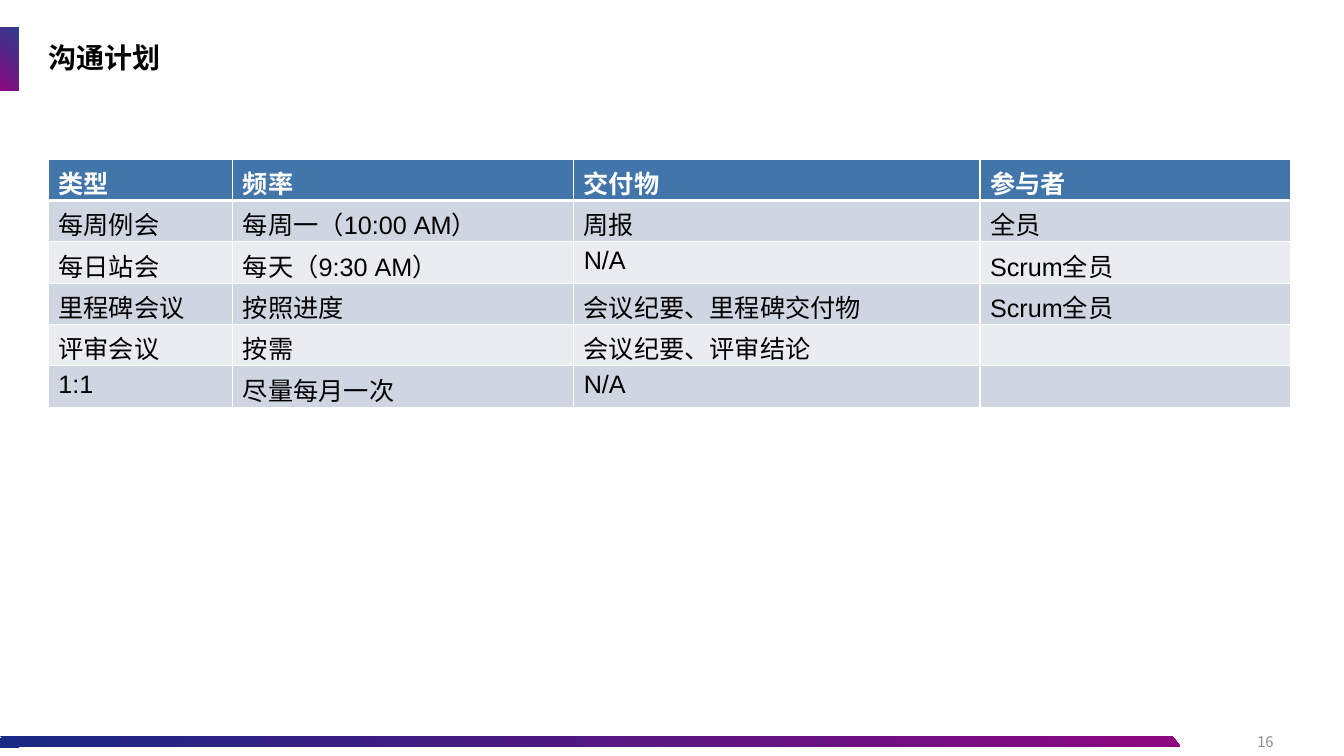
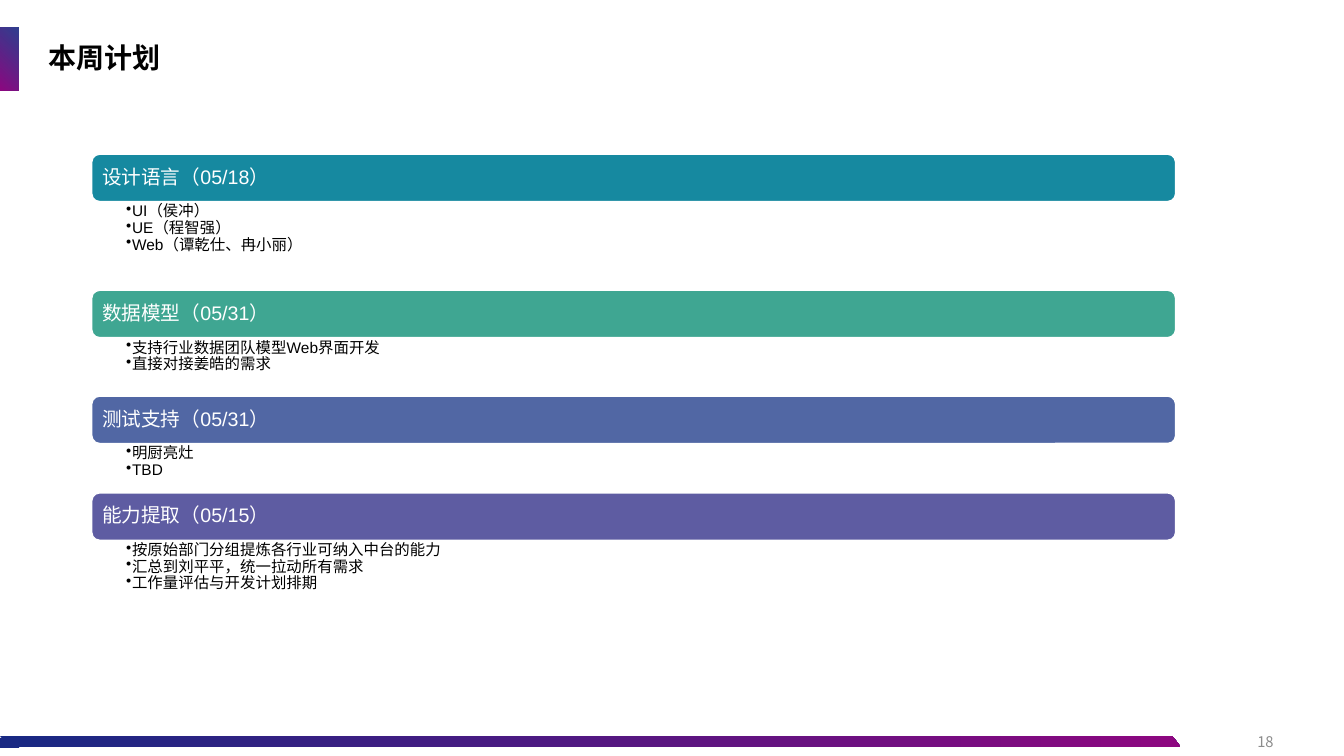
"""Build the communication plan and weekly plan slides."""
from dataclasses import dataclass

from lxml import etree
from pptx import Presentation
from pptx.dml.color import RGBColor
from pptx.enum.shapes import MSO_SHAPE
from pptx.enum.text import MSO_ANCHOR, PP_ALIGN
from pptx.oxml.ns import qn
from pptx.util import Inches, Pt

RECTANGLE = MSO_SHAPE.RECTANGLE
ROUNDED = MSO_SHAPE.ROUNDED_RECTANGLE
PARALLELOGRAM = MSO_SHAPE.PARALLELOGRAM
MIDDLE, TOP = MSO_ANCHOR.MIDDLE, MSO_ANCHOR.TOP
LEFT, RIGHT = PP_ALIGN.LEFT, PP_ALIGN.RIGHT


@dataclass(frozen=True)
class Theme:
    latin: str = "Arial"
    chinese: str = "Noto Sans CJK SC"
    navy: str = "182983"
    navy_cap: str = "1A2983"
    magenta: str = "8D0780"
    black: str = "000000"
    white: str = "FFFFFF"
    grey: str = "8C8C8C"
    header: str = "4276AA"
    bands: tuple = ("CFD6E2", "E9ECF1")
    title_size: float = 20
    table_size: float = 18
    heading_size: float = 14
    note_size: float = 11
    number_size: float = 10.5


THEME = Theme()

MEETINGS = {
    "title": "沟通计划",
    "number": "16",
    "columns": (1.83, 3.38, 4.03, 3.08),
    "rows": [
        ("类型", "频率", "交付物", "参与者"),
        ("每周例会", "每周一（10:00 AM）", "周报", "全员"),
        ("每日站会", "每天（9:30 AM）", "N/A", "Scrum全员"),
        ("里程碑会议", "按照进度", "会议纪要、里程碑交付物", "Scrum全员"),
        ("评审会议", "按需", "会议纪要、评审结论", ""),
        ("1:1", "尽量每月一次", "N/A", ""),
    ],
}

WEEK = {
    "title": "本周计划",
    "number": "18",
    "topics": [
        ("设计语言（05/18）", "1689A0", 0.88,
         ["UI（侯冲）", "UE（程智强）", "Web（谭乾仕、冉小丽）"]),
        ("数据模型（05/31）", "3FA692", 0.58,
         ["支持行业数据团队模型Web界面开发", "直接对接姜皓的需求"]),
        ("测试支持（05/31）", "5167A4", 0.49,
         ["明厨亮灶", "TBD"]),
        ("能力提取（05/15）", "5E5CA2", 0.88,
         ["按原始部门分组提炼各行业可纳入中台的能力",
          "汇总到刘平平，统一拉动所有需求",
          "工作量评估与开发计划排期"]),
    ],
}


def rgb(value):
    return RGBColor.from_string(value)


def style_text(frame, size, color, bold=False, latin=THEME.latin,
               align=LEFT, spacing=None):
    for para in frame.paragraphs:
        para.alignment = align
        if spacing:
            para.line_spacing = spacing
            para.space_after = Pt(0)
        for span in para.runs:
            font = span.font
            font.size, font.bold, font.name = Pt(size), bold, latin
            font.color.rgb = rgb(color)
            face = etree.Element(qn("a:ea"), typeface=THEME.chinese)
            font._element.find(qn("a:latin")).addnext(face)


def set_insets(frame, left, top, right, bottom):
    frame.margin_left, frame.margin_top = Inches(left), Inches(top)
    frame.margin_right, frame.margin_bottom = Inches(right), Inches(bottom)


def add_text(page, place, text, anchor=MIDDLE):
    box = page.shapes.add_textbox(*map(Inches, place))
    frame = box.text_frame
    frame.word_wrap = True
    frame.vertical_anchor = anchor
    frame.text = text
    return frame


def add_block(page, preset, place, color=None):
    block = page.shapes.add_shape(preset, *map(Inches, place))
    block.shadow.inherit = False
    block.line.fill.background()
    if color:
        block.fill.solid()
        block.fill.fore_color.rgb = rgb(color)
    return block


def fill_gradient(block, angle):
    block.fill.gradient()
    block.fill.gradient_angle = 360 - angle
    first, last = block.fill.gradient_stops
    first.position, last.position = 0, 1
    first.color.rgb, last.color.rgb = rgb(THEME.navy), rgb(THEME.magenta)


def add_page(deck, content):
    page = deck.slides.add_slide(deck.slide_layouts[6])

    accent = add_block(page, RECTANGLE, (0, 0.27, 0.18, 0.63))
    fill_gradient(accent, 135)
    start_color = accent._element.spPr.find(".//" + qn("a:srgbClr"))
    etree.SubElement(start_color, qn("a:alpha"), val="90000")

    number = add_text(page, (9.73, 7.16, 3, 0.4), content["number"])
    style_text(number, THEME.number_size, THEME.grey,
               latin=THEME.chinese, align=RIGHT)

    footer = add_block(page, PARALLELOGRAM, (0, 7.3, 11.71, 0.11))
    footer.adjustments[0] = 0.78
    footer._element.spPr.find(qn("a:xfrm")).set("flipH", "1")
    fill_gradient(footer, 180)
    add_block(page, RECTANGLE, (0, 7.32, 0.19, 0.1), THEME.navy_cap)

    title = add_text(page, (0.38, 0.27, 11.1, 0.63), content["title"])
    style_text(title, THEME.title_size, THEME.black, bold=True, spacing=0.9)
    return page


def set_borders(cell, widths):
    properties = cell._tc.get_or_add_tcPr()
    for index, (side, width) in enumerate(widths.items()):
        line = etree.Element(qn("a:ln" + side), w=str(Pt(width)))
        fill = etree.SubElement(line, qn("a:solidFill"))
        etree.SubElement(fill, qn("a:srgbClr"), val=THEME.white)
        properties.insert(index, line)


def add_meeting_table(page, content):
    rows, columns = content["rows"], content["columns"]
    row_height = 0.41
    place = (0.48, 1.58, sum(columns), row_height * len(rows))
    table = page.shapes.add_table(
        len(rows), len(columns), *map(Inches, place)).table
    for column, width in zip(table.columns, columns):
        column.width = Inches(width)
    for row_index, texts in enumerate(rows):
        table.rows[row_index].height = Inches(row_height)
        is_header = row_index == 0
        fill = THEME.header if is_header else THEME.bands[(row_index - 1) % 2]
        color = THEME.white if is_header else THEME.black
        widths = {"L": 1, "R": 1, "T": 3 if row_index == 1 else 1,
                  "B": 3 if is_header else 1}
        for column_index, text in enumerate(texts):
            cell = table.cell(row_index, column_index)
            cell.text = text
            cell.fill.solid()
            cell.fill.fore_color.rgb = rgb(fill)
            set_borders(cell, widths)
            style_text(cell.text_frame, THEME.table_size, color, is_header)


def add_bullets(frame):
    indent = Inches(0.06)
    for para in frame.paragraphs:
        para.level = 1
        properties = para._p.get_or_add_pPr()
        properties.set("marL", str(indent))
        properties.set("indent", str(-indent))
        etree.SubElement(properties, qn("a:buChar"), char="•")


def add_topics(page, topics):
    left, top, width, bar_height = 0.91, 1.53, 10.75, 0.47
    for heading, color, notes_height, notes in topics:
        bar = add_block(page, ROUNDED, (left, top, width, bar_height), color)
        bar.line.color.rgb = rgb(THEME.white)
        bar.line.width = Pt(1)
        frame = bar.text_frame
        frame.word_wrap = True
        frame.vertical_anchor = MIDDLE
        frame.text = heading
        set_insets(frame, 0.08, 0.06, 0.08, 0.06)
        style_text(frame, THEME.heading_size, THEME.white, spacing=0.9)
        top += bar_height

        body = add_text(page, (left, top, width, notes_height),
                        "\n".join(notes), TOP)
        set_insets(body, 0.34, 0.02, 0.11, 0.02)
        style_text(body, THEME.note_size, THEME.black, spacing=0.9)
        add_bullets(body)
        top += notes_height


def main():
    deck = Presentation()
    deck.slide_width, deck.slide_height = Inches(13.33), Inches(7.5)
    add_meeting_table(add_page(deck, MEETINGS), MEETINGS)
    add_topics(add_page(deck, WEEK), WEEK["topics"])
    deck.save("out.pptx")


if __name__ == "__main__":
    main()
